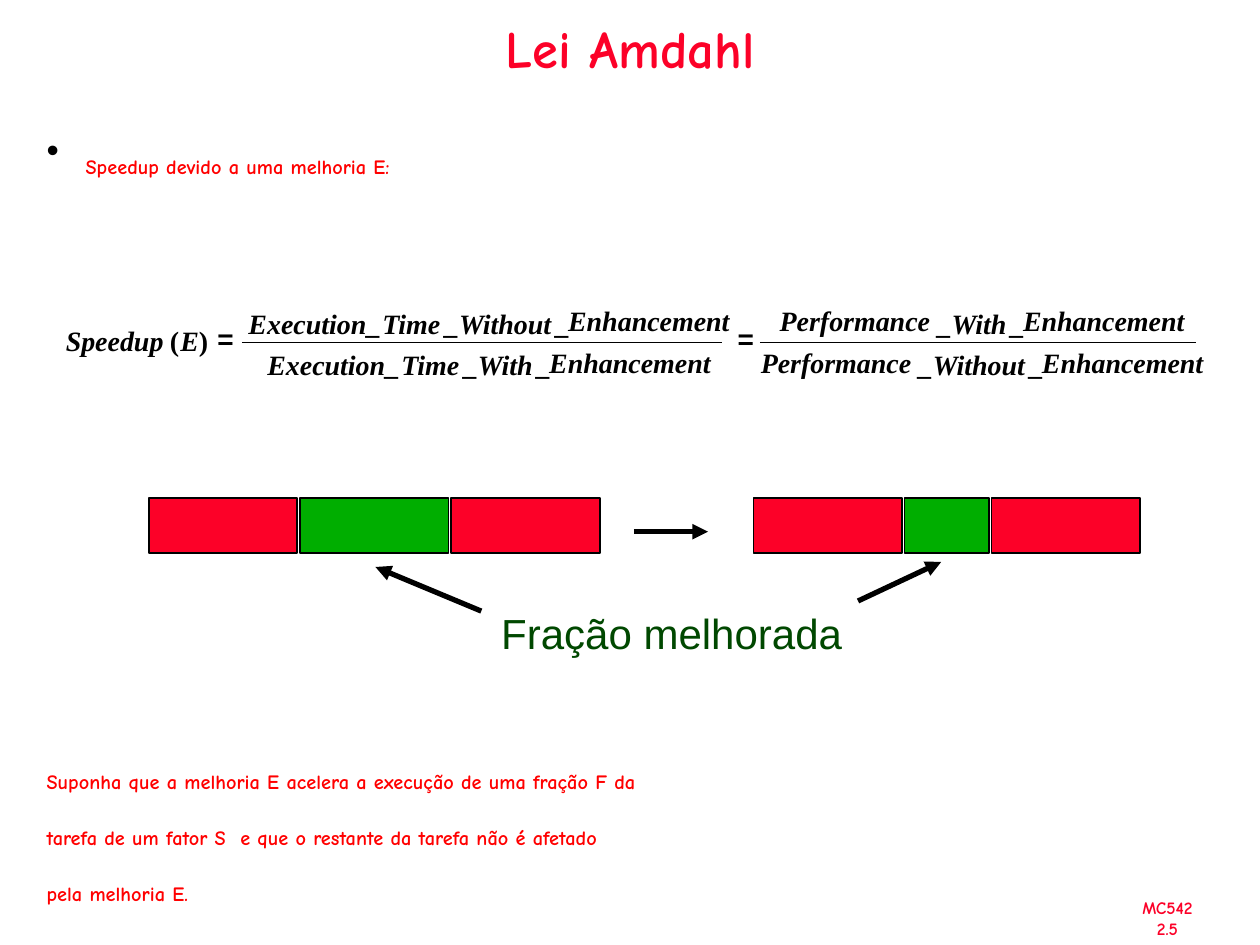
"""Build the slide on Amdahl's law: speedup formula, improved fraction and premise."""
from dataclasses import dataclass

from lxml import etree
from pptx import Presentation
from pptx.dml.color import RGBColor
from pptx.enum.shapes import MSO_CONNECTOR, MSO_SHAPE
from pptx.enum.text import MSO_ANCHOR, MSO_AUTO_SIZE, PP_ALIGN
from pptx.oxml.ns import qn
from pptx.util import Inches, Pt

LEFT, CENTER = PP_ALIGN.LEFT, PP_ALIGN.CENTER
TOP, MIDDLE = MSO_ANCHOR.TOP, MSO_ANCHOR.MIDDLE
RECTANGLE, STRAIGHT = MSO_SHAPE.RECTANGLE, MSO_CONNECTOR.STRAIGHT
NO_FIT = MSO_AUTO_SIZE.NONE


@dataclass(frozen=True)
class Theme:
    red: str = "FC0128"
    body_red: str = "FF0000"
    green: str = "00AE00"
    dark_green: str = "004800"
    black: str = "000000"
    heading_font: str = "Comic Neue"
    formula_font: str = "Times New Roman"
    plain_font: str = "Arial"
    title_size: int = 30
    label_size: int = 24
    body_size: int = 20
    formula_size: int = 16
    footer_size: int = 10


THEME = Theme()

TITLE = "Lei Amdahl"
BODY = [
    "Speedup devido a uma melhoria E:",
    "Suponha que a melhoria E acelera a execução de uma fração F da",
    "tarefa de um fator S  e que o restante da tarefa não é afetado",
    "pela melhoria E.",
]
BODY_SPACING = [7.5, 327, 7.5, 7.5]
FOOTER = ["MC542", "2.5"]
LABEL = "Fração melhorada"

# word: (box width, step to the underscore, step past it, rise)
WORDS = {
    "Execution": (0.94, 0.93, 0.13, 0),
    "Time": (0.47, 0.49, 0.12, 0),
    "With": (0.44, 0.46, 0.11, 0),
    "Without": (0.74, 0.76, 0.11, 0),
    "Performance": (1.19, 1.24, 0.12, 0.02),
    "Enhancement": (1.28, 1.28, 0, 0.02),
}
FORMULA_ROWS = [
    (1.97, 2.43, "Execution_Time_Without_Enhancement"),
    (2.12, 2.76, "Execution_Time_With_Enhancement"),
    (6.19, 2.43, "Performance_With_Enhancement"),
    (6.04, 2.76, "Performance_Without_Enhancement"),
]
FORMULA_SIGNS = [
    ("Speedup", 0.52, 2.57, 0.78, True, THEME.formula_font),
    ("(", 1.35, 2.57, 0.07, False, THEME.formula_font),
    ("E", 1.43, 2.57, 0.15, True, THEME.formula_font),
    (")", 1.58, 2.57, 0.07, False, THEME.formula_font),
    ("=", 1.7, 2.55, 0.18, False, THEME.plain_font),
    ("=", 5.83, 2.55, 0.18, False, THEME.plain_font),
]
FRACTION_BARS = [((1.92, 2.72), (5.73, 2.72)), ((6.03, 2.72), (9.49, 2.72))]
ARROWS = [
    ((5.03, 4.22), (5.62, 4.22)),
    ((6.81, 4.77), (7.47, 4.46)),
    ((3.82, 4.85), (2.98, 4.5)),
]
TASK_BARS = [(1.18, (1.18, 1.18, 1.18)), (5.98, (1.18, 0.67, 1.18))]
TASK_TOP, TASK_HEIGHT, TASK_GAP = 3.95, 0.44, 0.02
FORMULA_HEIGHT, UNDERSCORE_WIDTH = 0.27, 0.11


def write_text(box, lines, at, *, size, color, font=THEME.heading_font, bold=True,
               italic=False, align=CENTER, anchor=TOP, margins=(0.1, 0.05),
               wrap=True, line_spacing=None):
    box.left, box.top, box.width, box.height = map(Inches, at)
    frame = box.text_frame
    frame.word_wrap, frame.auto_size, frame.vertical_anchor = wrap, NO_FIT, anchor
    frame.margin_left = frame.margin_right = Inches(margins[0])
    frame.margin_top = frame.margin_bottom = Inches(margins[1])
    for index, line in enumerate(lines):
        para = frame.add_paragraph() if index else frame.paragraphs[0]
        para.alignment = align
        if line_spacing:
            para.line_spacing = line_spacing
        span = para.add_run()
        span.text = line
        span.font.name, span.font.size = font, Pt(size)
        span.font.bold, span.font.italic = bold, italic
        span.font.color.rgb = RGBColor.from_string(color)
    return frame


def new_box(page):
    return page.shapes.add_textbox(0, 0, 0, 0)


def add_line(page, start, end, width, arrow=False):
    line = page.shapes.add_connector(STRAIGHT, *map(Inches, start + end))
    line.line.color.rgb = RGBColor.from_string(THEME.black)
    line.line.width = Pt(width)
    if arrow:
        etree.SubElement(line.line._get_or_add_ln(), qn("a:tailEnd"), type="triangle")
    etree.SubElement(line._element.spPr, qn("a:effectLst"))


def add_body(page):
    frame = write_text(page.placeholders[1], BODY, (0.27, 0.99, 9.37, 6.06),
                       size=THEME.body_size, color=THEME.body_red, align=LEFT,
                       line_spacing=0.9)
    for index, (para, spacing) in enumerate(zip(frame.paragraphs, BODY_SPACING)):
        para.space_before = Pt(spacing)
        para.runs[0].font._element.set("baseline", "-25000")
        props = para._p.get_or_add_pPr()
        props.set("marL", str(Inches(0.31)))
        props.set("indent", str(-Inches(0.31)))
        if index:
            etree.SubElement(props, qn("a:buNone"))
        else:
            color = etree.SubElement(props, qn("a:buClr"))
            etree.SubElement(color, qn("a:srgbClr"), val=THEME.black)
            etree.SubElement(props, qn("a:buChar"), char="•")


def add_formula_part(page, text, left, top, width, italic, font=THEME.formula_font):
    write_text(new_box(page), [text], (left, top, width, FORMULA_HEIGHT),
               size=THEME.formula_size, color=THEME.black, font=font, italic=italic,
               margins=(0, 0), wrap=False)


def add_formula(page):
    for sign in FORMULA_SIGNS:
        add_formula_part(page, *sign)
    for left, top, expression in FORMULA_ROWS:
        words = expression.split("_")
        for word in words:
            width, to_underscore, past_underscore, rise = WORDS[word]
            add_formula_part(page, word, left, top - rise, width, True)
            left += to_underscore
            if word != words[-1]:
                add_formula_part(page, "_", left, top, UNDERSCORE_WIDTH, False)
                left += past_underscore
    for start, end in FRACTION_BARS:
        add_line(page, start, end, 0.62)


def add_task_bars(page):
    for left, widths in TASK_BARS:
        for width, color in zip(widths, (THEME.red, THEME.green, THEME.red)):
            part = page.shapes.add_shape(
                RECTANGLE, *map(Inches, (left, TASK_TOP, width, TASK_HEIGHT)))
            part.shadow.inherit = False
            part.fill.solid()
            part.fill.fore_color.rgb = RGBColor.from_string(color)
            part.line.color.rgb = RGBColor.from_string(THEME.black)
            part.line.width = Pt(1)
            left += width + TASK_GAP
    for start, end in ARROWS:
        add_line(page, start, end, 3, arrow=True)
    write_text(new_box(page), [LABEL], (3.49, 4.77, 3.68, 0.5), size=THEME.label_size,
               color=THEME.dark_green, font=THEME.plain_font, bold=False)


def main():
    deck = Presentation()
    deck.slide_width, deck.slide_height = Inches(10), Inches(7.5)
    page = deck.slides.add_slide(deck.slide_layouts[1])
    write_text(page.shapes.title, [TITLE], (0, 0.05, 10, 0.71), size=THEME.title_size,
               color=THEME.red, anchor=MIDDLE, line_spacing=0.9)
    add_body(page)
    add_task_bars(page)
    add_formula(page)
    write_text(new_box(page), FOOTER, (8.79, 7.07, 0.95, 0.43),
               size=THEME.footer_size, color=THEME.red, wrap=False)
    deck.save("out.pptx")


if __name__ == "__main__":
    main()
